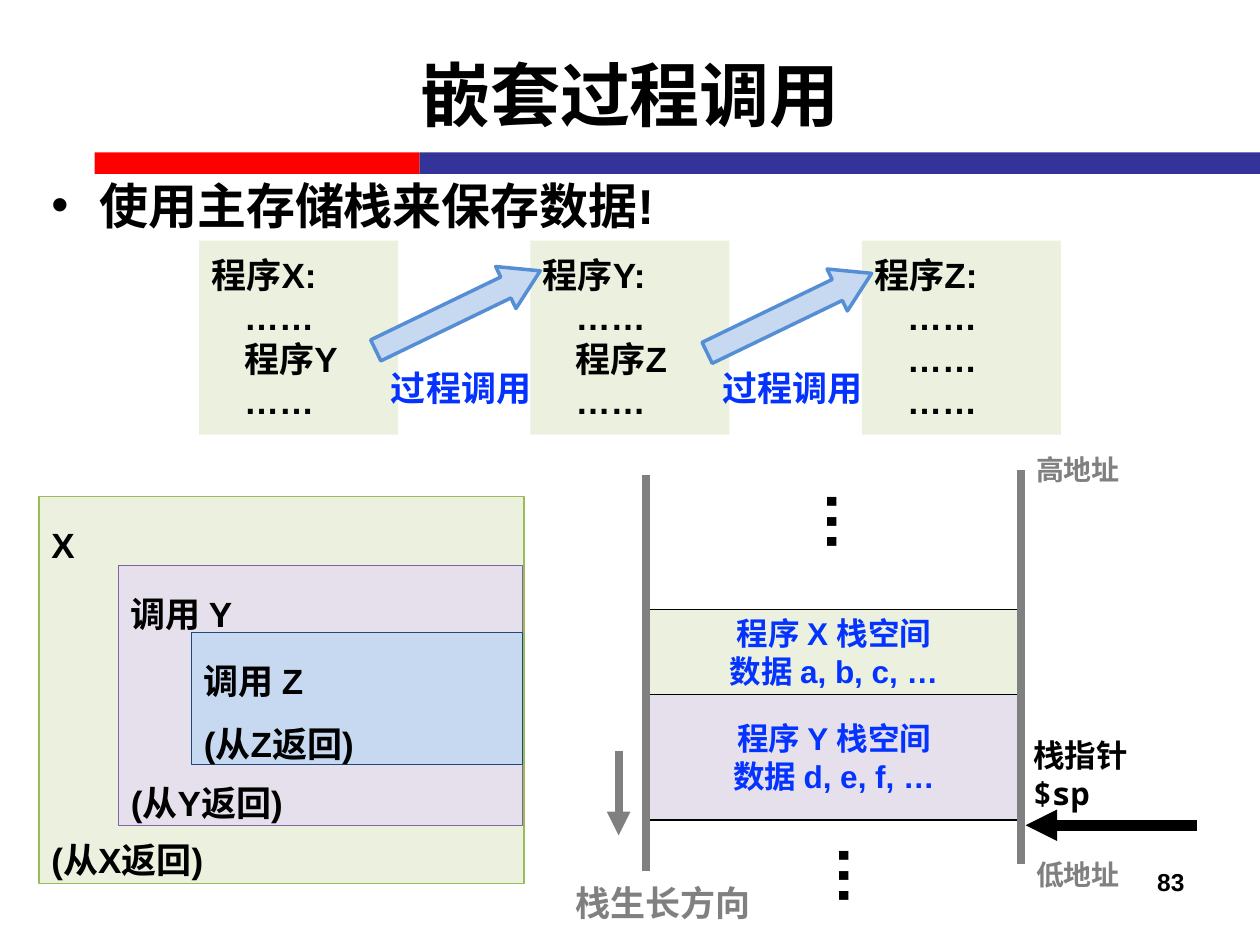
from dataclasses import dataclass

from lxml import etree
from pptx import Presentation
from pptx import util as u
from pptx.dml.color import RGBColor
from pptx.enum import shapes, text
from pptx.oxml import ns

Inches = u.Inches


@dataclass(frozen=True)
class Theme:
    font: str = "Arial"
    mono: str = "Noto Sans Mono"
    black: str = "000000"
    gray: str = "808080"
    red: str = "FF0000"
    navy: str = "333399"
    label_blue: str = "0432FF"
    green: str = "EBF1DE"
    green_edge: str = "9BBB59"
    purple: str = "E6E0EC"
    purple_edge: str = "8064A2"
    blue: str = "C6D9F1"
    blue_edge: str = "1F497D"
    arrow_edge: str = "558ED5"
    title: int = 40
    dots: int = 36
    bullet: int = 28
    body: int = 20
    stack: int = 18
    address: int = 16
    number: int = 14


THEME = Theme()
ALIGN = text.PP_ALIGN
ANCHOR = text.MSO_ANCHOR
SHAPE = shapes.MSO_SHAPE


def box_of(bounds):
    return [Inches(value) for value in bounds]


def add_run(paragraph, words, size, color=THEME.black, font=THEME.font):
    run = paragraph.add_run()
    run.text = words
    run.font.name = font
    run.font.size = u.Pt(size)
    run.font.bold = True
    run.font.color.rgb = RGBColor.from_string(color)


def write_lines(shape, lines, size, color=THEME.black, align=ALIGN.CENTER,
                anchor=ANCHOR.TOP, wrap=True):
    """Write one paragraph per line and return the paragraphs."""
    frame = shape.text_frame
    frame.word_wrap = wrap
    frame.vertical_anchor = anchor
    for index, line in enumerate(lines):
        paragraph = frame.paragraphs[0] if index == 0 else frame.add_paragraph()
        paragraph.alignment = align
        add_run(paragraph, line, size, color)
    return frame.paragraphs


def add_block(slide, bounds, fill, edge=None, width=0.75, kind=SHAPE.RECTANGLE):
    shape = slide.shapes.add_shape(kind, *box_of(bounds))
    shape.shadow.inherit = False
    shape.fill.solid()
    shape.fill.fore_color.rgb = RGBColor.from_string(fill)
    if edge:
        shape.line.color.rgb = RGBColor.from_string(edge)
        shape.line.width = u.Pt(width)
    else:
        shape.line.fill.background()
    return shape


def add_label(slide, bounds, words, size, color=THEME.black,
              align=ALIGN.CENTER, rotation=0):
    label = slide.shapes.add_textbox(*box_of(bounds))
    label.rotation = rotation
    write_lines(label, [words], size, color, align, wrap=False)
    return label


def add_line(slide, start, end, color, width, arrow=False):
    line = slide.shapes.add_connector(
        shapes.MSO_CONNECTOR.STRAIGHT, *box_of(start + end))
    line.line.color.rgb = RGBColor.from_string(color)
    line.line.width = u.Pt(width)
    if arrow:
        etree.SubElement(line.line._get_or_add_ln(), ns.qn("a:tailEnd"), type="triangle")
    etree.SubElement(line._element.spPr, ns.qn("a:effectLst"))


def add_heading(slide):
    title = slide.shapes.title
    title.left, title.top, title.width, title.height = box_of((0.5, 0.12, 9, 1.25))
    write_lines(title, ["嵌套过程调用"], THEME.title, anchor=ANCHOR.MIDDLE)
    add_block(slide, (0.75, 1.21, 2.58, 0.17), THEME.red)
    add_block(slide, (3.33, 1.21, 6.67, 0.17), THEME.navy)


def add_bullet(slide, bounds, words):
    box = slide.shapes.add_textbox(*box_of(bounds))
    paragraph = box.text_frame.paragraphs[0]
    properties = paragraph._p.get_or_add_pPr()
    properties.set("marL", str(Inches(0.38)))
    properties.set("indent", str(Inches(-0.38)))
    etree.SubElement(properties, ns.qn("a:buFont"), typeface=THEME.font)
    etree.SubElement(properties, ns.qn("a:buChar"), char="•")
    write_lines(box, [words], THEME.bullet, align=ALIGN.LEFT)


def add_nested_call(slide, bounds, fill, edge, lines, gap):
    """Draw a call block with its return line set below the inner calls."""
    block = add_block(slide, bounds, fill, edge)
    paragraphs = write_lines(block, lines, THEME.body, align=ALIGN.LEFT)
    for paragraph in paragraphs:
        paragraph.line_spacing = 1.5
    paragraphs[1].space_before = u.Pt(gap)


def add_stack_frame(slide, top, height, fill, lines):
    frame = add_block(slide, (5.13, top, 2.98, height), fill, THEME.black)
    write_lines(frame, lines, THEME.stack, THEME.label_blue,
                anchor=ANCHOR.MIDDLE, wrap=False)


def add_program(slide, left, name, call):
    block = add_block(slide, (left, 1.91, 1.58, 1.54), THEME.green)
    lines = [f"程序{name}:", "……", call, "……"]
    paragraphs = write_lines(block, lines, THEME.body, align=ALIGN.LEFT,
                             anchor=ANCHOR.MIDDLE)
    for paragraph in paragraphs[1:]:
        paragraph._p.get_or_add_pPr().set("marL", str(Inches(0.26)))


def add_call_arrow(slide, left, top):
    arrow = add_block(slide, (left, top, 0.37, 1.45), THEME.blue,
                      THEME.arrow_edge, 2, SHAPE.DOWN_ARROW)
    arrow.adjustments[0] = 0.5
    arrow.adjustments[1] = 0.82
    arrow.rotation = 244.2


def add_stack(slide):
    add_stack_frame(slide, 4.84, 0.67, THEME.green, ["程序 X 栈空间", "数据 a, b, c, …"])
    add_stack_frame(slide, 5.51, 1, THEME.purple, ["程序 Y 栈空间", "数据 d, e, f, …"])
    for left, top in ((6.41, 3.79), (6.5, 6.6)):
        add_label(slide, (left, top, 0.71, 0.71), "…", THEME.dots, rotation=90)
    for top, words in ((3.54, "高地址"), (6.76, "低地址")):
        add_label(slide, (8.11, top, 0.89, 0.37), words, THEME.address, THEME.gray)
    # Side walls and growth direction
    add_line(slide, (5.13, 6.91), (5.13, 3.77), THEME.gray, 4.5)
    add_line(slide, (8.1, 6.86), (8.1, 3.73), THEME.gray, 4.5)
    add_line(slide, (4.91, 5.96), (4.91, 6.63), THEME.gray, 4.5, arrow=True)
    add_label(slide, (4.45, 6.95, 1.63, 0.44), "栈生长方向", THEME.body, THEME.gray)
    # Stack pointer
    pointer = add_label(slide, (8.1, 5.79, 0.98, 0.71), "栈指针", THEME.stack,
                        align=ALIGN.LEFT)
    add_run(pointer.text_frame.add_paragraph(), "$sp", THEME.stack, font=THEME.mono)
    add_line(slide, (9.5, 6.55), (8.14, 6.55), THEME.black, 6, arrow=True)


def main():
    presentation = Presentation()
    presentation.slide_width = Inches(10)
    presentation.slide_height = Inches(7.5)
    slide = presentation.slides.add_slide(presentation.slide_layouts[5])

    # Title, rule, bullet and slide number
    add_heading(slide)
    add_bullet(slide, (0.31, 1.34, 9.65, 1.1), "使用主存储栈来保存数据!")
    add_label(slide, (7.17, 6.83, 2.33, 0.52), "83", THEME.number, align=ALIGN.RIGHT)

    # Nested calls, outermost first
    add_nested_call(slide, (0.31, 3.94, 3.85, 3.07), THEME.green, THEME.green_edge,
                    ["X", "(从X返回)"], 144)
    add_nested_call(slide, (0.94, 4.49, 3.21, 2.06), THEME.purple, THEME.purple_edge,
                    ["调用 Y", "(从Y返回)"], 72)
    add_nested_call(slide, (1.52, 5.02, 2.63, 1.05), THEME.blue, THEME.blue_edge,
                    ["调用 Z", "(从Z返回)"], 0)

    # Memory stack
    add_stack(slide)

    # Programs and the calls between them
    step = 2.63
    programs = (("X", "程序Y"), ("Y", "程序Z"), ("Z", "……"))
    for index, (name, call) in enumerate(programs):
        add_program(slide, 1.58 + index * step, name, call)
    for index in range(2):
        add_call_arrow(slide, 3.45 + index * step, 1.74 + index * 0.02)
        add_label(slide, (2.99 + index * step, 2.86, 1.34, 0.44), "过程调用",
                  THEME.body, THEME.label_blue)

    presentation.save("out.pptx")


if __name__ == "__main__":
    main()
